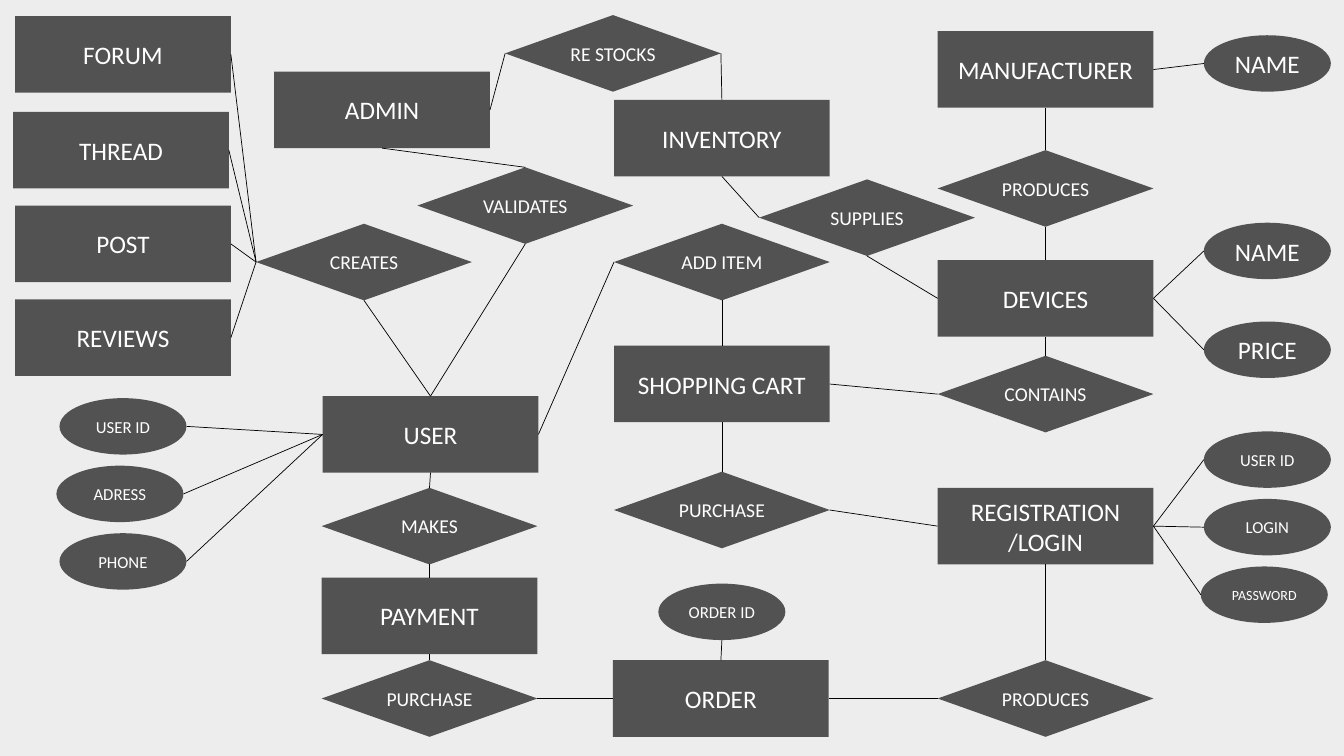
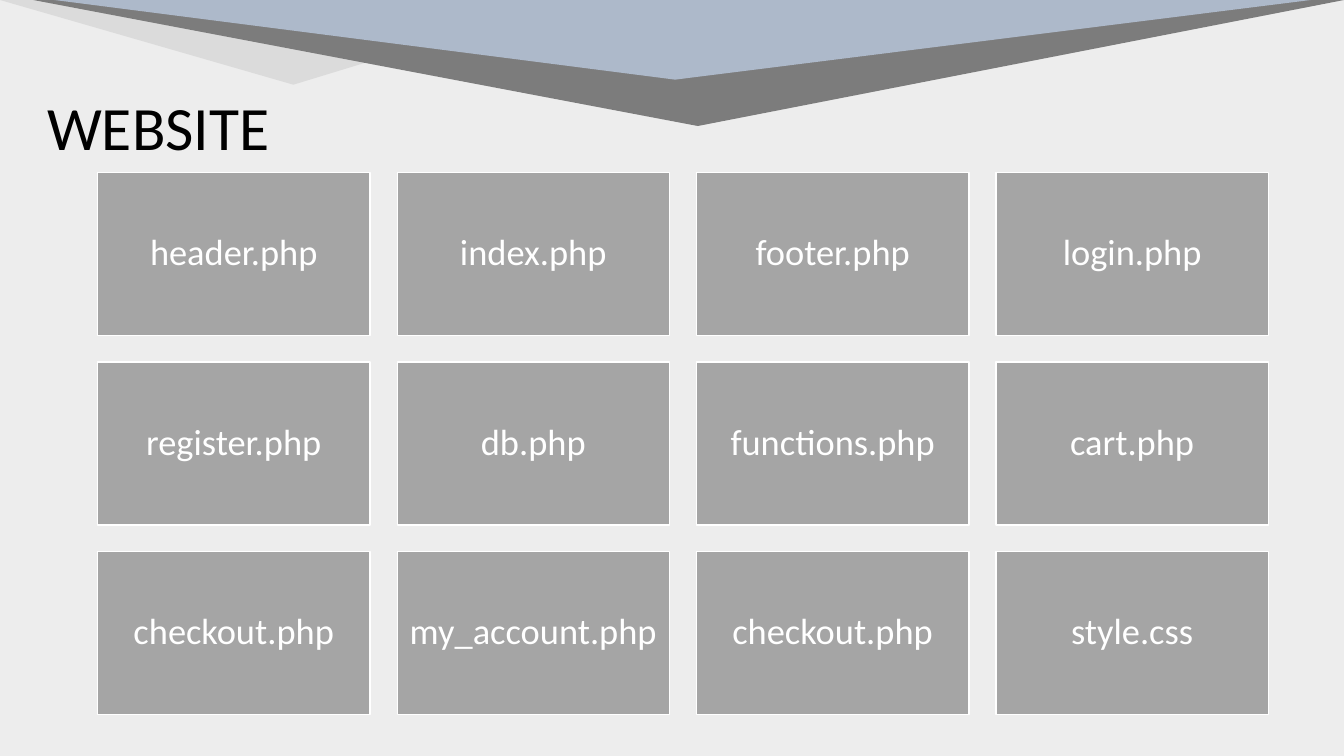
from lxml.etree import SubElement
from pptx import Presentation
from pptx.dml.color import RGBColor
from pptx.enum.shapes import MSO_CONNECTOR, MSO_SHAPE
from pptx.enum.text import MSO_ANCHOR, PP_ALIGN
from pptx.oxml.ns import qn
from pptx.util import Inches, Pt

FONT = "Calibri"
COLORS = {
    "background": "EDEDED",
    "node": "525252",
    "tile": "A5A5A5",
    "white": "FFFFFF",
    "black": "000000",
    "light band": "DBDBDB",
    "dark band": "7C7C7C",
    "blue band": "ADB9CA",
}


def add_filled_shape(slide, kind, box, color):
    shape = slide.shapes.add_shape(kind, *[Inches(length) for length in box])
    shape.shadow.inherit = False
    shape.fill.solid()
    shape.fill.fore_color.rgb = RGBColor.from_string(COLORS[color])
    shape.line.fill.background()
    return shape


def write_text(shape, text, size, color="white", align=PP_ALIGN.CENTER, anchor=MSO_ANCHOR.MIDDLE):
    frame = shape.text_frame
    frame.text = text
    frame.word_wrap = False
    frame.vertical_anchor = anchor
    for paragraph in frame.paragraphs:
        paragraph.alignment = align
        font_format = {"size": Pt(size), "name": FONT}
        for name, value in font_format.items():
            setattr(paragraph.font, name, value)
        paragraph.font.color.rgb = RGBColor.from_string(COLORS[color])


presentation = Presentation()
presentation.slide_width = Inches(13.33)
presentation.slide_height = Inches(7.5)
blank_layout = presentation.slide_layouts[6]
background = presentation.slide_master.background.fill
background.solid()
background.fore_color.rgb = RGBColor.from_string(COLORS["background"])

# Slide 1: entity relationship diagram
slide = presentation.slides.add_slide(blank_layout)

# Preset, width, height, text size, connection sites
NODE_KINDS = {
    "entity": (MSO_SHAPE.RECTANGLE, 2.14, 0.76, 18, {"top": 0, "left": 1, "bottom": 2, "right": 3}),
    "relation": (MSO_SHAPE.DIAMOND, 2.14, 0.76, 14, {"top": 0, "left": 1, "bottom": 2, "right": 3}),
    "attribute": (MSO_SHAPE.OVAL, 1.26, 0.56, 12, {"top": 0, "left": 2, "bottom": 4, "right": 6}),
}
SIDES = {"top": (0.5, 0), "left": (0, 0.5), "bottom": (0.5, 1), "right": (1, 0.5)}

# Key: text, left, top and, where it differs, text size
NODES = {
    "entity": {
        "manufacturer": ("MANUFACTURER", 9.3, 0.31),
        "devices": ("DEVICES", 9.3, 2.58),
        "cart": ("SHOPPING CART", 6.09, 3.43),
        "registration": ("REGISTRATION\n/LOGIN", 9.3, 4.84),
        "user": ("USER", 3.2, 3.93),
        "payment": ("PAYMENT", 3.19, 5.73),
        "forum": ("FORUM", 0.15, 0.16),
        "thread": ("THREAD", 0.13, 1.11),
        "post": ("POST", 0.15, 2.04),
        "reviews": ("REVIEWS", 0.15, 2.97),
        "order": ("ORDER", 6.08, 6.55),
        "admin": ("ADMIN", 2.72, 0.71),
        "inventory": ("INVENTORY", 6.09, 0.99),
    },
    "relation": {
        "produces devices": ("PRODUCES", 9.3, 1.49),
        "contains": ("CONTAINS", 9.3, 3.53),
        "cart purchase": ("PURCHASE", 6.09, 4.68),
        "add item": ("ADD ITEM", 6.09, 2.22),
        "produces order": ("PRODUCES", 9.3, 6.55),
        "payment purchase": ("PURCHASE", 3.19, 6.55),
        "creates": ("CREATES", 2.54, 2.22),
        "validates": ("VALIDATES", 4.14, 1.66),
        "restocks": ("RE STOCKS", 5.01, 0.15),
        "supplies": ("SUPPLIES", 7.53, 1.78),
        "makes": ("MAKES", 3.19, 4.84),
    },
    "attribute": {
        "manufacturer name": ("NAME", 11.94, 0.35, 18),
        "device name": ("NAME", 11.94, 2.21, 18),
        "device price": ("PRICE", 11.94, 3.19, 18),
        "login user id": ("USER ID", 11.94, 4.28),
        "login name": ("LOGIN", 11.94, 4.95),
        "password": ("PASSWORD", 11.91, 5.62, 10),
        "order id": ("ORDER ID", 6.53, 5.79),
        "user id": ("USER ID", 0.59, 3.95),
        "address": ("ADRESS", 0.56, 4.62),
        "phone": ("PHONE", 0.59, 5.29),
    },
}

LINKS = [
    ("manufacturer", "right", "manufacturer name", "left"),
    ("produces devices", "top", "manufacturer", "bottom"),
    ("produces devices", "bottom", "devices", "top"),
    ("devices", "right", "device name", "left"),
    ("devices", "right", "device price", "left"),
    ("devices", "bottom", "contains", "top"),
    ("contains", "left", "cart", "right"),
    ("cart", "bottom", "cart purchase", "top"),
    ("cart purchase", "right", "registration", "left"),
    ("registration", "right", "login user id", "left"),
    ("registration", "right", "login name", "left"),
    ("registration", "right", "password", "left"),
    ("user", "right", "add item", "left"),
    ("add item", "bottom", "cart", "top"),
    ("produces order", "top", "registration", "bottom"),
    ("order", "right", "produces order", "left"),
    ("order", "top", "order id", "bottom"),
    ("payment", "bottom", "payment purchase", "top"),
    ("payment purchase", "right", "order", "left"),
    ("user", "top", "creates", "bottom"),
    ("creates", "left", "forum", "right"),
    ("creates", "left", "thread", "right"),
    ("creates", "left", "post", "right"),
    ("creates", "left", "reviews", "right"),
    ("admin", "bottom", "validates", "top"),
    ("user", "top", "validates", "bottom"),
    ("admin", "right", "restocks", "left"),
    ("restocks", "right", "inventory", "top"),
    ("inventory", "bottom", "supplies", "left"),
    ("supplies", "bottom", "devices", "left"),
    ("user", "left", "user id", "right"),
    ("user", "left", "address", "right"),
    ("user", "left", "phone", "right"),
    ("makes", "top", "user", "bottom"),
    ("payment", "top", "makes", "bottom"),
]

placed = {}
for kind, nodes in NODES.items():
    preset, width, height, default_size, sites = NODE_KINDS[kind]
    for key, (text, left, top, *size) in nodes.items():
        shape = add_filled_shape(slide, preset, (left, top, width, height), "node")
        write_text(shape, text, size[0] if size else default_size)
        placed[key] = (shape, sites)

for start, start_side, end, end_side in LINKS:
    points = []
    glue = []
    for tag, key, side in (("a:stCxn", start, start_side), ("a:endCxn", end, end_side)):
        shape, sites = placed[key]
        across, down = SIDES[side]
        points += [int(shape.left + across * shape.width), int(shape.top + down * shape.height)]
        glue.append((tag, shape.shape_id, sites[side]))
    connector = slide.shapes.add_connector(MSO_CONNECTOR.STRAIGHT, *points)
    connector.line.width = Pt(0.5)
    connector.line.color.rgb = RGBColor.from_string(COLORS["black"])
    SubElement(connector._element.spPr, qn("a:effectLst"))
    connection = connector._element.find(".//" + qn("p:cNvCxnSpPr"))
    for tag, shape_id, site in glue:
        SubElement(connection, qn(tag), id=str(shape_id), idx=str(site))

# Slide 2: website files
slide = presentation.slides.add_slide(blank_layout)
title = slide.shapes.add_textbox(Inches(0.37), Inches(0.83), Inches(3.74), Inches(0.84))
write_text(title, "WEBSITE", 44, "black", PP_ALIGN.LEFT, MSO_ANCHOR.TOP)
title.text_frame.word_wrap = True

# Left, width, height, position of the tip, colour
BANDS = [
    (0, 5.66, 0.84, 0.486, "light band"),
    (0.33, 13, 1.25, 0.493, "dark band"),
    (0.54, 12.46, 0.79, 0.506, "blue band"),
]
for left, width, height, tip, color in BANDS:
    band = add_filled_shape(slide, MSO_SHAPE.ISOSCELES_TRIANGLE, (left, 0, width, height), color)
    band.rotation = 180
    band.adjustments[0] = tip

FILES = [
    ["header.php", "index.php", "footer.php", "login.php"],
    ["register.php", "db.php", "functions.php", "cart.php"],
    ["checkout.php", "my_account.php", "checkout.php", "style.css"],
]
TILE_WIDTH, TILE_HEIGHT = 2.7, 1.62
COLUMN_GAP, ROW_GAP = 0.27, 0.26
for row, names in enumerate(FILES):
    for column, name in enumerate(names):
        left = 0.97 + column * (TILE_WIDTH + COLUMN_GAP)
        top = 1.71 + row * (TILE_HEIGHT + ROW_GAP)
        tile = add_filled_shape(slide, MSO_SHAPE.RECTANGLE, (left, top, TILE_WIDTH, TILE_HEIGHT), "tile")
        tile.line.color.rgb = RGBColor.from_string(COLORS["white"])
        tile.line.width = Pt(1)
        write_text(tile, name, 26)
        tile.text_frame.paragraphs[0].line_spacing = 0.9

presentation.save("out.pptx")
